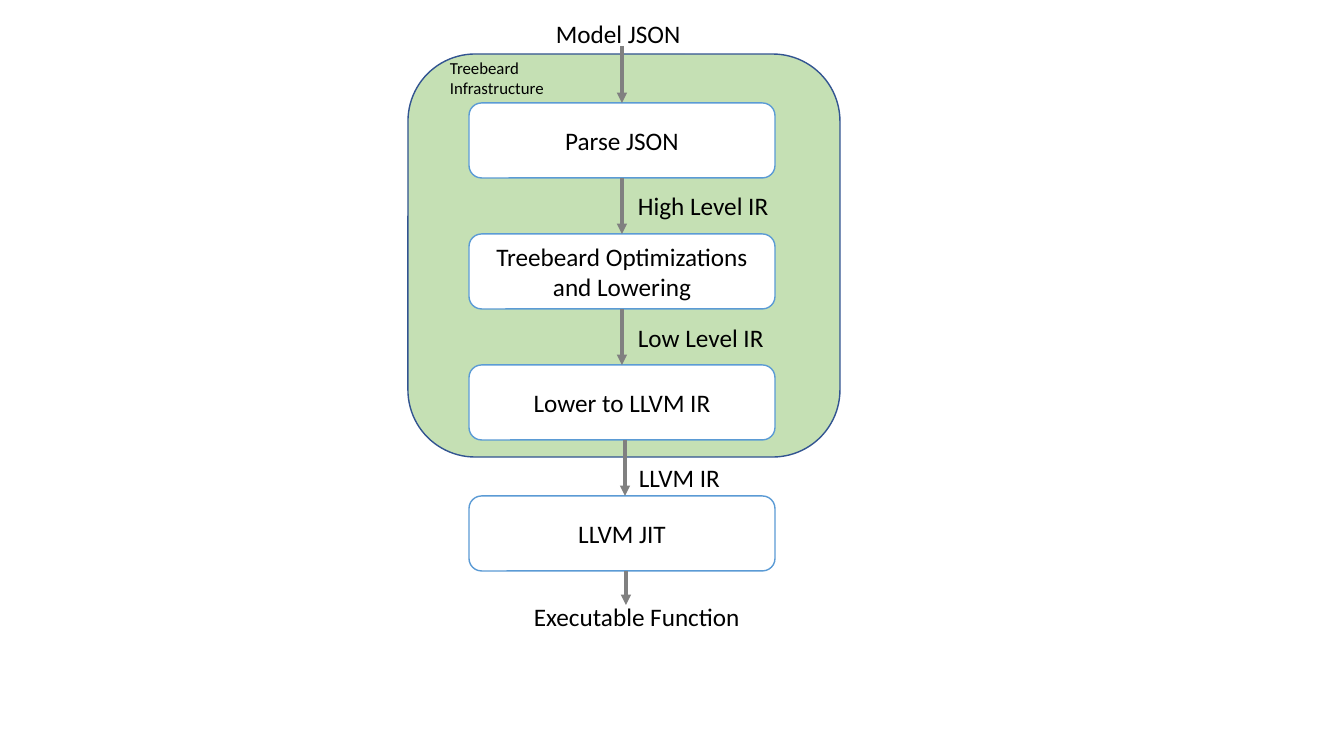
from lxml.etree import SubElement
from pptx import Presentation
from pptx.dml.color import RGBColor
from pptx.enum.shapes import MSO_CONNECTOR, MSO_SHAPE
from pptx.enum.text import MSO_ANCHOR, MSO_AUTO_SIZE, PP_ALIGN
from pptx.oxml.ns import qn
from pptx.util import Emu, Pt

PX_PER_INCH = 100.8
BLANK_LAYOUT = 6


def px(length):
    return Emu(round(length * 914400 / PX_PER_INCH))


def color(hex_string):
    return RGBColor.from_string(hex_string)


class FlowSlide:
    FONT = "Calibri"
    TEXT = "000000"
    ARROW = "808080"

    def __init__(self, presentation):
        layout = presentation.slide_layouts[BLANK_LAYOUT]
        self.shapes = presentation.slides.add_slide(layout).shapes

    def set_text(self, shape, text, size, align):
        frame = shape.text_frame
        frame.word_wrap = True
        frame.text = text
        paragraph = frame.paragraphs[0]
        paragraph.alignment = align
        paragraph.font.name = self.FONT
        paragraph.font.size = Pt(size)
        paragraph.font.color.rgb = color(self.TEXT)

    def rounded_box(self, left, top, width, height, fill, line, text=None):
        shape = self.shapes.add_shape(
            MSO_SHAPE.ROUNDED_RECTANGLE, px(left), px(top), px(width), px(height))
        shape.shadow.inherit = False
        shape.fill.solid()
        shape.fill.fore_color.rgb = color(fill)
        shape.line.color.rgb = color(line)
        shape.line.width = Pt(1)
        if text:
            self.set_text(shape, text, 18, PP_ALIGN.CENTER)
            shape.text_frame.vertical_anchor = MSO_ANCHOR.MIDDLE
        return shape

    def label(self, left, top, width, height, text, size=18):
        shape = self.shapes.add_textbox(px(left), px(top), px(width), px(height))
        self.set_text(shape, text, size, PP_ALIGN.LEFT)
        shape.text_frame.auto_size = MSO_AUTO_SIZE.SHAPE_TO_FIT_TEXT

    def down_arrow(self, x, top, bottom, source=None, target=None):
        """Draw a vertical arrow, joined to the source and target boxes if given."""
        arrow = self.shapes.add_connector(
            MSO_CONNECTOR.STRAIGHT, px(x), px(top), px(x), px(bottom))
        arrow.line.color.rgb = color(self.ARROW)
        arrow.line.width = Pt(2.5)
        properties = arrow.element.spPr
        SubElement(properties.find(qn("a:ln")), qn("a:tailEnd"), type="triangle")
        SubElement(properties, qn("a:effectLst"))
        if source:
            arrow.begin_connect(source, 2)
        if target:
            arrow.end_connect(target, 0)


def main():
    presentation = Presentation()
    presentation.slide_width = px(1344)
    presentation.slide_height = px(756)
    slide = FlowSlide(presentation)

    slide.rounded_box(408, 54, 432, 403, "C5E0B4", "325491")

    left, width, height = 469, 306, 75
    stages = ["Parse JSON", "Treebeard Optimizations and Lowering",
              "Lower to LLVM IR", "LLVM JIT"]
    tops = [103 + 131 * index for index in range(len(stages))]
    boxes = [slide.rounded_box(left, top, width, height, "FFFFFF", "5B9BD5", stage)
             for top, stage in zip(tops, stages)]
    parse, optimize, lower = boxes[:3]

    center = left + width // 2
    slide.down_arrow(center, 46, tops[0], target=parse)
    slide.down_arrow(center, tops[0] + height, tops[1], parse, optimize)
    slide.down_arrow(center, tops[1] + height, tops[2], optimize, lower)
    slide.down_arrow(center + 3, tops[2] + height, tops[3])
    slide.down_arrow(center + 4, tops[3] + height, 605)

    for label_left, label_top, text in [
            (546, 13, "Model JSON"),
            (628, 185, "High Level IR"),
            (628, 317, "Low Level IR"),
            (629, 457, "LLVM IR"),
            (524, 596, "Executable Function")]:
        slide.label(label_left, label_top, 251, 40, text)
    slide.label(440, 53, 171, 50, "Treebeard Infrastructure", size=12)

    presentation.save("out.pptx")


if __name__ == "__main__":
    main()
